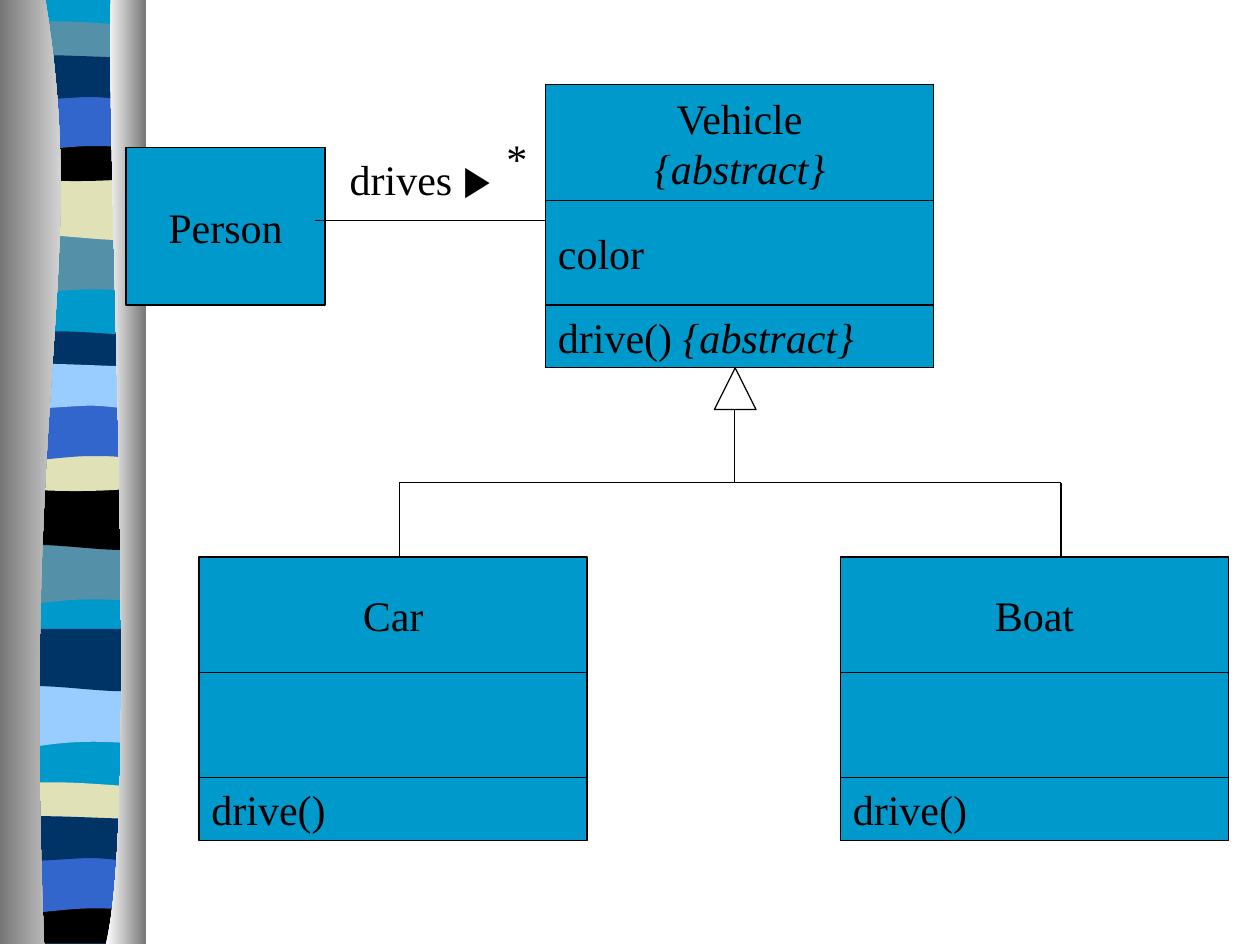
from lxml import etree
from pptx import Presentation
from pptx import util as u
from pptx.dml.color import RGBColor
from pptx.enum import shapes, text
from pptx.oxml.ns import qn

SKY, TEAL, NAVY, BLUE = "0099CC", "5490A8", "003366", "3366CC"
BLACK, SAND, PALE, GREY = "000000", "E1E1B7", "99CCFF", "767676"
FONT, SIZE = "Times New Roman", 24

# Class boxes: left, top, width, then (height, centred, lines of (text, italic) runs)
BOXES = [
    (4.33, 0.67, 3.08, [
        (0.92, True, [[("Vehicle", False)], [("{abstract}", True)]]),
        (0.83, False, [[("color", False)]]),
        (0.5, False, [[("drive() ", False), ("{abstract}", True)]])]),
    (1.58, 4.42, 3.08, [
        (0.92, True, [[("Car", False)]]),
        (0.83, False, []),
        (0.5, False, [[("drive()", False)]])]),
    (6.67, 4.42, 3.08, [
        (0.92, True, [[("Boat", False)]]),
        (0.83, False, []),
        (0.5, False, [[("drive()", False)]])]),
    (1, 1.17, 1.58, [(1.25, True, [[("Person", False)]])]),
]

# Inheritance tree and association
TREE = [(3.17, 4.42, 3.17, 3.83), (5.83, 3.25, 5.83, 3.83),
        (3.17, 3.83, 8.42, 3.83), (8.42, 4.42, 8.42, 3.83)]
LINK = (2.5, 1.75, 4.33, 1.75)

# Labels: left, top, width, centred, runs of (text, font)
LABELS = [
    (2.25, 1.17, 2.17, True, [("drives ", FONT), ("▶", "Arial")]),
    (3.92, 1, 0.5, False, [("*", FONT)]),
]

# Band edges, left to right: Bezier points as (x, offset from the edge's level)
EDGES = {
    "flat": [(0.06, 0), (1.14, 0)],
    "hump": [(0.06, 0), (0.12, -0.05), (0.29, -0.04), (0.47, -0.04),
             (0.65, -0.04), (1, -0.01), (1.14, 0)],
    "sway": [(0.06, 0), (0.21, -0.05), (0.79, 0), (1.14, 0)],
    "sag": [(0.06, 0), (0.72, 0.05), (0.91, 0), (1.14, 0)],
    "ripple": [(0.06, 0), (0.17, 0.05), (0.54, 0), (0.72, 0),
               (0.9, 0), (1.07, 0.05), (1.14, 0)],
    "arch": [(0.06, 0), (0.21, 0), (0.53, -0.05), (0.72, -0.05),
             (0.9, -0.05), (0.97, -0.05), (1.14, 0)],
    "bow": [(0.06, 0), (0.24, 0.05), (0.96, 0.05), (1.14, 0)],
    "dip": [(0.06, 0), (0.39, -0.06), (0.96, 0.08), (1.14, 0)],
    "wave": [(0.06, 0), (0.24, 0.08), (0.39, -0.08), (1.14, 0)],
}
FOOT = 7.49
# Ribbon bands from back to front: colour, top and its edge, bottom and its edge
BANDS = [
    (SKY, 0, "flat", FOOT, "flat"),
    (TEAL, 1.85, "flat", 2.32, "wave"),
    (SAND, 1.41, "flat", 1.88, "dip"),
    (TEAL, 0.21, "hump", 0.45, "bow"),
    (BLACK, 1.08, "sag", 1.4, "bow"),
    (BLUE, 0.74, "flat", 1.21, "arch"),
    (NAVY, 0.46, "sway", 0.77, "ripple"),
    (TEAL, 4.31, "flat", 4.78, "wave"),
    (BLACK, 3.86, "flat", 4.34, "dip"),
    (NAVY, 2.67, "hump", 2.91, "bow"),
    (SAND, 3.53, "sag", 3.86, "bow"),
    (BLUE, 3.2, "flat", 3.67, "arch"),
    (PALE, 2.91, "sway", 3.22, "ripple"),
    (PALE, 5.44, "flat", 5.91, "wave"),
    (NAVY, 4.99, "flat", 5.46, "dip"),
    (SAND, 6.25, "hump", 6.49, "bow"),
    (BLACK, 7.12, "sag", FOOT, "flat"),
    (BLUE, 6.79, "flat", 7.26, "arch"),
    (NAVY, 6.5, "sway", 6.81, "ripple"),
]
# Shaded sides of the ribbon: inner curve, outer x, gradient colours
SIDES = [
    ([(0.36, 0), (0.71, 2.16), (0.17, 2.96), (0.35, FOOT)], 0, (GREY, "FFFFFF")),
    ([(0.88, 0), (0.84, 1.25), (1.11, 6.46), (0.84, FOOT)], 1.16, ("FFFFFF", GREY)),
]

deck = Presentation()
deck.slide_width, deck.slide_height = u.Inches(10), u.Inches(7.5)
slide = deck.slides.add_slide(deck.slide_layouts[6])
parts = slide.shapes


def paint(fmt, color):
    fmt.solid()
    fmt.fore_color.rgb = RGBColor.from_string(color)


def edge(item):
    paint(item.line.fill, BLACK)
    item.line.width = u.Pt(0.75)


def outline(*chains):
    """Join chains of points; a chain longer than two is a run of Bezier curves."""
    pts = [(round(x * 1000), round(y * 1000)) for chain in chains for x, y in chain]
    form = parts.build_freeform(*pts[0], scale=u.Inches(1) / 1000)
    form.add_line_segments(pts[1:], close=True)
    item = form.convert_to_shape()
    item.shadow.inherit = False
    item.line.fill.background()
    track = item._element.find(".//" + qn("a:path"))
    nodes = track.findall(qn("a:lnTo"))
    start = 0
    for chain in chains:
        if len(chain) > 2:
            for i in range(start, start + len(chain) - 1, 3):
                cubic = track.makeelement(qn("a:cubicBezTo"))
                nodes[i].addprevious(cubic)
                for node in nodes[i:i + 3]:
                    cubic.append(node[0])
                    track.remove(node)
        start += len(chain)
    return item


def level(name, y):
    return [(x, y + dy) for x, dy in EDGES[name]]


def style(par, mid):
    par.alignment = text.PP_ALIGN.CENTER if mid else text.PP_ALIGN.LEFT
    par.font.size, par.font.name = u.Pt(SIZE), FONT
    par.font.color.rgb = RGBColor.from_string(BLACK)


def block(kind, *at):
    item = parts.add_shape(kind, *map(u.Inches, at))
    item.shadow.inherit = False
    edge(item)
    return item


def cell(left, top, width, height, mid, lines):
    item = block(shapes.MSO_SHAPE.RECTANGLE, left, top, width, height)
    paint(item.fill, SKY)
    frame = item.text_frame
    frame.word_wrap = False
    frame.vertical_anchor = text.MSO_ANCHOR.MIDDLE
    for i, runs in enumerate(lines):
        par = frame.add_paragraph() if i else frame.paragraphs[0]
        style(par, mid)
        for words, slant in runs:
            run = par.add_run()
            run.text = words
            if slant:
                run.font.italic = True


def wire(*ends):
    item = parts.add_connector(shapes.MSO_CONNECTOR.STRAIGHT, *map(u.Inches, ends))
    edge(item)
    etree.SubElement(item._element.spPr, qn("a:effectLst"))


# Ribbon
for color, top, rim, low, hem in BANDS:
    paint(outline(level(rim, top), level(hem, low)[::-1]).fill, color)

for pts, outer, colors in SIDES:
    fill = outline(pts, [(outer, FOOT), (outer, 0)]).fill
    fill.gradient()
    fill.gradient_angle = 0
    for stop, color, pos in zip(fill.gradient_stops, colors, (0, 1)):
        stop.color.rgb = RGBColor.from_string(color)
        stop.position = pos

# Class diagram
for ends in TREE:
    wire(*ends)
block(shapes.MSO_SHAPE.FLOWCHART_EXTRACT, 5.67, 2.92, 0.33, 0.33).fill.background()
for left, top, width, rows in BOXES:
    for height, mid, lines in rows:
        cell(left, top, width, height, mid, lines)
        top += height
wire(*LINK)

for left, top, width, mid, runs in LABELS:
    frame = parts.add_textbox(*map(u.Inches, (left, top, width, 0.5))).text_frame
    frame.word_wrap = True
    frame.auto_size = text.MSO_AUTO_SIZE.SHAPE_TO_FIT_TEXT
    par = frame.paragraphs[0]
    style(par, mid)
    par.space_before = u.Pt(15)
    for words, font in runs:
        run = par.add_run()
        run.text = words
        if font != FONT:
            run.font.name = font

deck.save("out.pptx")
